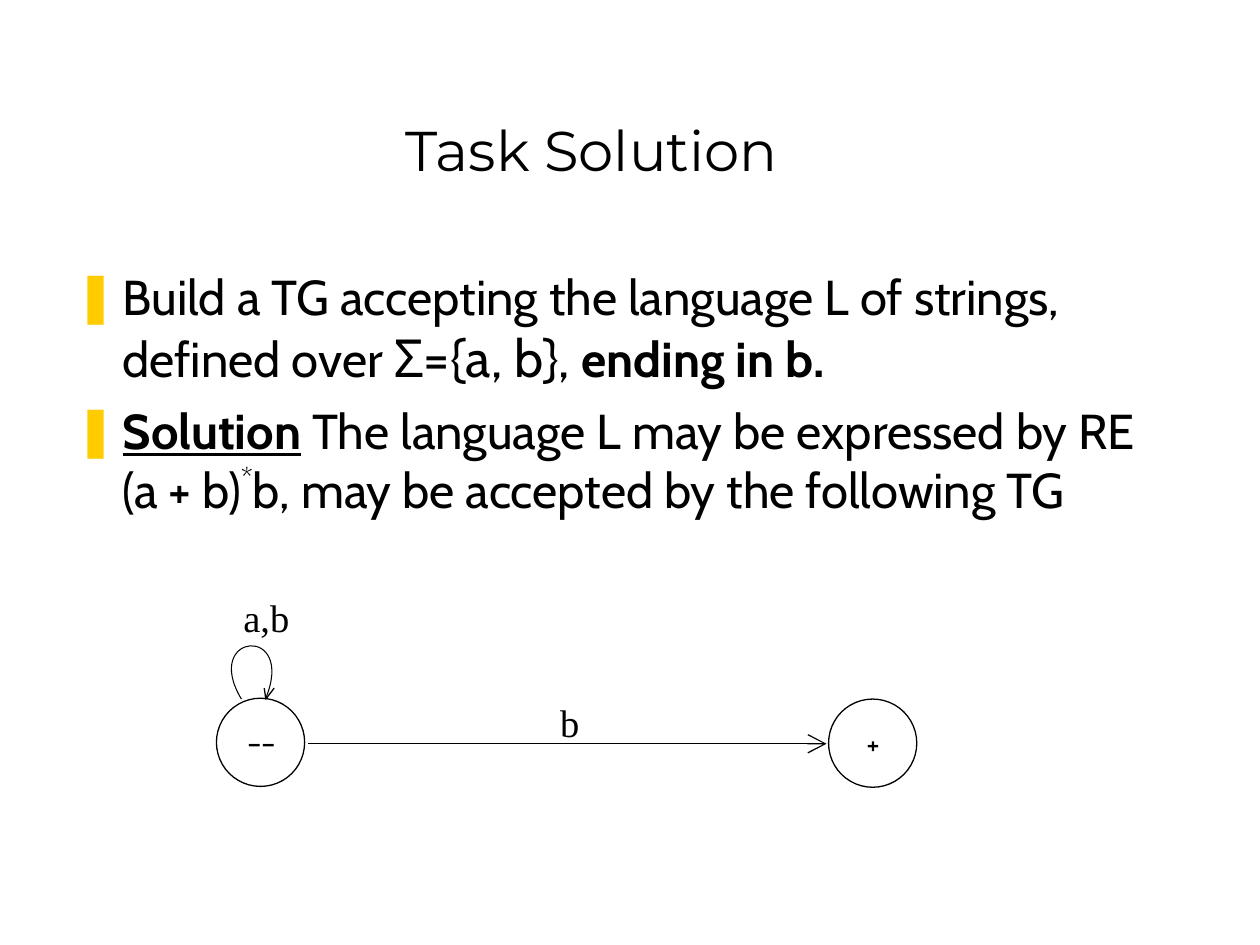
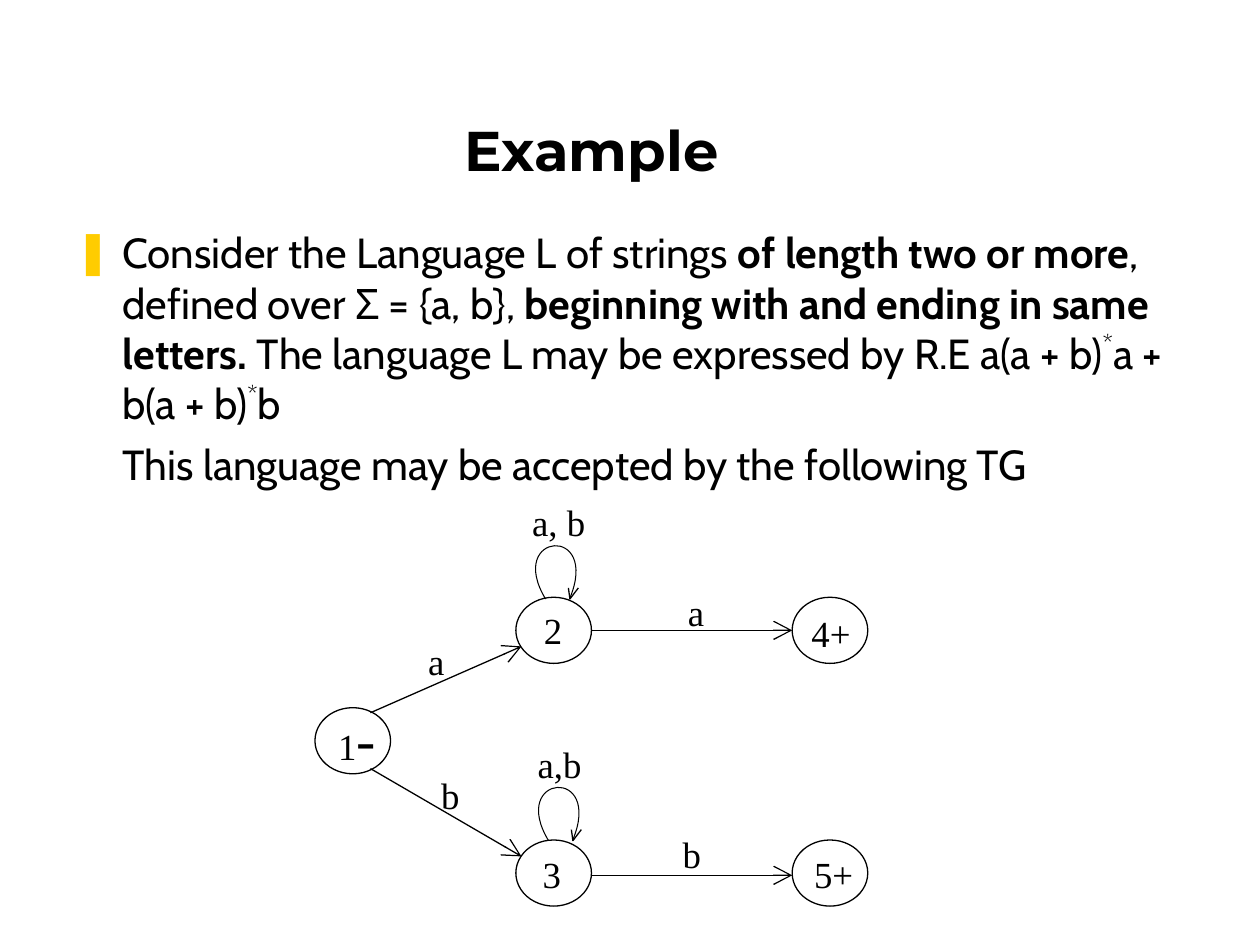
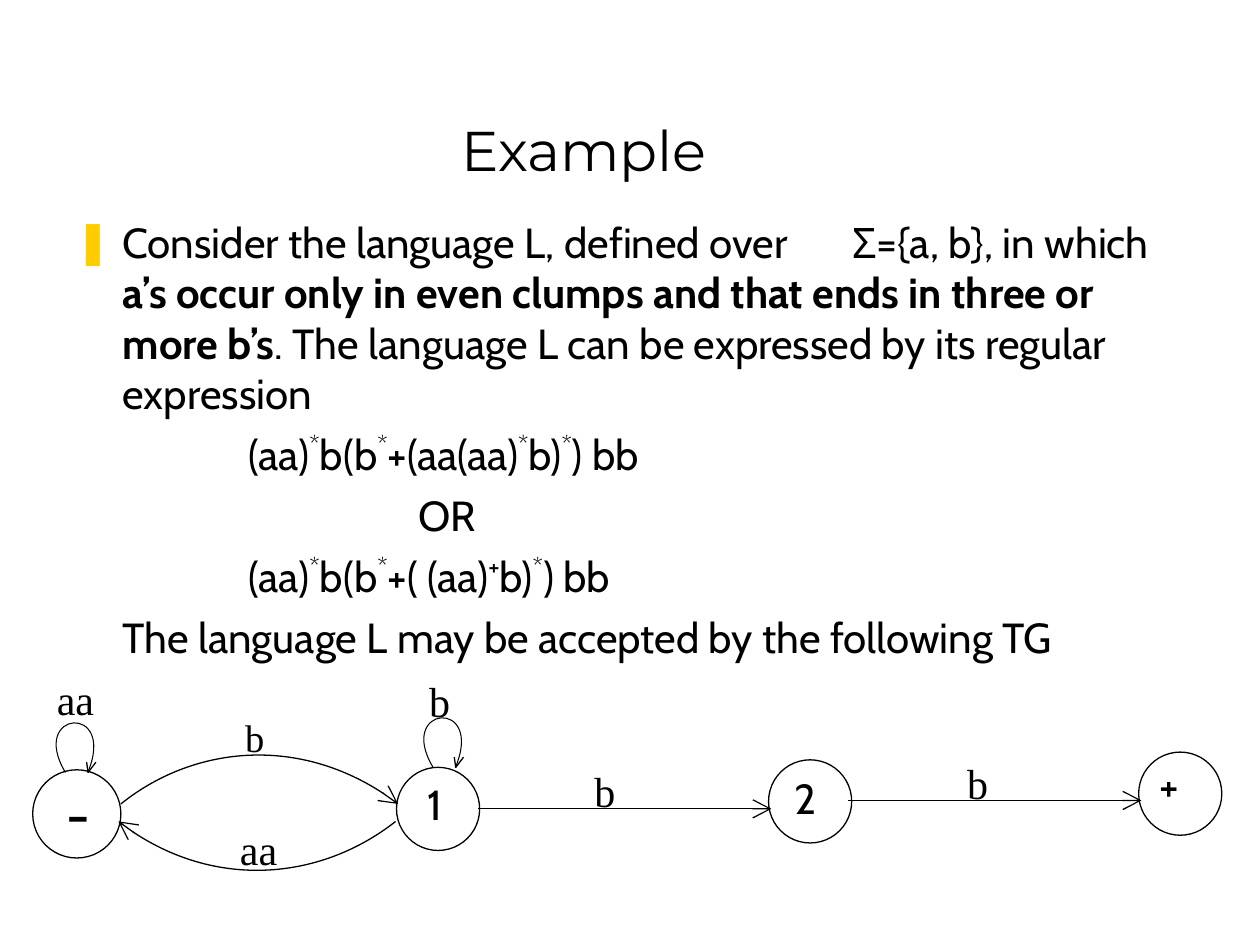
from pptx import Presentation as Deck
from pptx.dml.color import RGBColor as Rgb
from pptx.enum.shapes import MSO_CONNECTOR as Link, MSO_SHAPE as Form
from pptx.enum.text import MSO_ANCHOR as Anchor, PP_ALIGN as Align
from pptx.oxml import parse_xml
from pptx.oxml.ns import nsdecls, qn
from pptx.util import Pt

HUES = {"ink": "000000", "paper": "FFFFFF", "mark": "FFCC00"}
HEAD, BODY, SERIF = "Montserrat", "Cabin", "Times New Roman"
BOLD, UNDER, UP = {"bold": True}, {"bold": True, "under": True}, {"up": True}
STAR = ("*", UP)
INDENT = 27
SKIP = 13.2


def hue(name):
    return Rgb.from_string(HUES[name])


def node(tag, **attrs):
    item = parse_xml(f"<a:{tag} {nsdecls('a')}/>")
    for key, value in attrs.items():
        item.set(key, str(value))
    return item


def add_run(para, words, font, size, bold=False, under=False, up=False):
    run = para.add_run()
    run.text = words
    face = run.font
    face.name, face.size, face.bold, face.underline = font, Pt(size), bold, under
    face.color.rgb = hue("ink")
    if up:
        run._r.get_or_add_rPr().set("baseline", "40000")


def add_bullet(para):
    color = node("buClr")
    color.append(node("srgbClr", val=HUES["mark"]))
    para._p.get_or_add_pPr().extend(
        [color, node("buFont", typeface=BODY), node("buChar", char="❚")])


def add_tab(para, stop):
    tabs = node("tabLst")
    tabs.append(node("tab", pos=Pt(stop), algn="l"))
    para._p.get_or_add_pPr().append(tabs)


def text(slide, box, paras, font=SERIF, size=24, align=Align.LEFT, bold=False,
         gap=0, anchor=Anchor.TOP, pads=(7.2, 3.6, 7.2, 3.6)):
    frame = slide.shapes.add_textbox(*map(Pt, box)).text_frame
    frame.word_wrap, frame.vertical_anchor = True, anchor
    frame.margin_left, frame.margin_top, frame.margin_right, frame.margin_bottom = map(Pt, pads)
    for i, item in enumerate(paras):
        para = frame.add_paragraph() if i else frame.paragraphs[0]
        para.alignment, para.space_before = align, Pt(gap)
        left = item.get("left", 0)
        if left:
            props = para._p.get_or_add_pPr()
            props.set("marL", str(Pt(left)))
            props.set("indent", str(Pt(-INDENT if item.get("bullet") else 0)))
        if item.get("bullet"):
            add_bullet(para)
        if "stop" in item:
            add_tab(para, item["stop"])
        for words, look in item["runs"]:
            add_run(para, words, **{"font": font, "size": size, "bold": bold, **look})


def plain(*runs, left=0, **more):
    return {"left": left, "runs": [(r, {}) if isinstance(r, str) else r for r in runs], **more}


def point(*runs, **more):
    return plain(*runs, left=INDENT, bullet=True, **more)


def title(slide, words, bold=False):
    text(slide, (32, 18, 612, 90), [plain(words)], font=HEAD, size=32, bold=bold,
         align=Align.CENTER, anchor=Anchor.BOTTOM)


def body(slide, top, high, size, gap, *paras):
    text(slide, (36, top, 643.7, high), paras, font=BODY, size=size, gap=gap)


def ink_line(shape, width=0.75, arrow=False):
    shape.line.color.rgb = hue("ink")
    shape.line.width = Pt(width)
    if arrow:
        shape.line._get_or_add_ln().append(node("tailEnd", type="arrow", w="lg", len="lg"))


def trace(slide, dots, width=0.75, curve=False, arrow=False):
    first, *rest = [(Pt(x), Pt(y)) for x, y in dots]
    pen = slide.shapes.build_freeform(*first)
    pen.add_line_segments(rest, close=False)
    shape = pen.convert_to_shape()
    shape.shadow.inherit = False
    shape.fill.background()
    ink_line(shape, width, arrow)
    if curve:
        bend = node("cubicBezTo")
        steps = list(shape._element.iter(qn("a:lnTo")))
        steps[0].addprevious(bend)
        for step in steps:
            bend.append(step[0])
            step.getparent().remove(step)


def ring(slide, x, y, wide, high):
    shape = slide.shapes.add_shape(Form.OVAL, *map(Pt, (x, y, wide, high)))
    shape.shadow.inherit = False
    shape.fill.solid()
    shape.fill.fore_color.rgb = hue("paper")
    ink_line(shape)


def edge(slide, *ends):
    line = slide.shapes.add_connector(Link.STRAIGHT, *map(Pt, ends))
    line._element.spPr.append(node("effectLst"))
    ink_line(line, arrow=True)


def loop(slide, x, y, scale):
    def place(*dots):
        return [(x + dx * scale, y + dy * scale) for dx, dy in dots]
    trace(slide, place((0, 0), (-23, -38.2), (31.7, -43), (13.7, 0)), width=0.6, curve=True)
    trace(slide, place((13, -6.3), (13.9, 0), (18.7, -6.3)))


def label(slide, words, x, y, wide, high, left=0, drop=0, align=Align.LEFT, **look):
    right = 7.2 if align == Align.CENTER else 0
    runs = words if isinstance(words, list) else [words]
    text(slide, (x, y, wide, high), [plain(*runs)], align=align,
         pads=(7.2 + left, 3.6 + drop, right, 3.6), **look)


def graph(slide, box, rings, edges, loops, tags, arcs=(), scale=1, size=24):
    x, y, wide, high = box
    for dx, dy, *dims in rings:
        ring(slide, x + dx, y + dy, *dims)
    for ax, ay, bx, by in edges:
        edge(slide, x + ax, y + ay, x + bx, y + by)
    for arc in arcs:
        trace(slide, [(x + dx, y + dy) for dx, dy in arc], curve=True, arrow=True)
    for dx, dy in loops:
        loop(slide, x + dx, y + dy, scale)
    for words, dx, dy, *look in tags:
        look = {"wide": wide, "high": high, "size": size, **(look[0] if look else {})}
        label(slide, words, x + dx, y + dy, **look)


def task(slide):
    title(slide, "Task Solution")
    body(slide, 148.8, 328.3, 28, 7,
         point("Build a TG accepting the language L of strings, defined over ",
               ("Σ={a, b},", {"size": 30}), " ", ("ending in b.", BOLD)),
         point(("Solution", UNDER), " The language L may be expressed by RE (a + b)", STAR,
               "b, may be accepted by the following TG"))
    sign = dict(wide=70.6, high=49, font=BODY, size=16, drop=SKIP, align=Align.CENTER)
    graph(slide, (114, 336, 98.6, 36.7), size=22,
          rings=[(9.7, 63, 50.4, 50.4), (359.5, 63.5, 50.4, 50.4)],
          edges=[(62, 89, 358.3, 89)],
          loops=[(24, 63.5)],
          tags=[("b", 199, 60), ("a,b", 18, 0), ("––", 0, 61.8, sign), ("+", 349.6, 62.4, sign)])


def same(slide):
    title(slide, "Example", bold=True)
    body(slide, 126, 203.8, 24, 6,
         point("Consider the Language L of strings ", ("of length two or more", BOLD),
               ", defined over Σ = {a, b}, ",
               ("beginning with and ending in same letters. ", BOLD),
               "The language L may be expressed by R.E a(a + b)", STAR, "a + b(a + b)", STAR, "b"),
         plain("This language may be accepted by the following TG", left=INDENT))
    oval = (43.2, 37.8)
    near, mid, far = 7, 121.8, 279.7
    graph(slide, (173, 282, 50.4, 38.2), size=21,
          rings=[(near, 122.4, *oval)] + [(x, y, *oval) for x in (mid, far) for y in (59.3, 198)],
          edges=[(38.7, 125.3, 125, 87.4), (38.7, 157.2, 125, 207.4),
                 (164.7, 78.2, far, 78.2), (164.7, 218.2, far, 218.2)],
          loops=[(138.8, 60.3), (140.5, 198.4)],
          tags=[("a", 64.6, 79.4), ("b", 72, 156), ("a", 213, 51.4), ("b", 210, 189.6),
                ("a, b", 124, 0), ("a,b", 127.2, 138.2),
                (["1", ("-", {"size": 33})], -0.4, 103, {"left": 13.5, "drop": SKIP}),
                ("2", 130.8, 61.9), ("3", 130, 201),
                ("4+", 278, 50.2, {"left": 5.5, "drop": SKIP}),
                ("5+", 282.3, 201, {"left": 2.75})])


def clumps(slide):
    title(slide, "Example ")
    start = ("(aa)", STAR, "b(b", STAR)
    deep = INDENT + 72
    body(slide, 120.2, 328.3, 24, 6,
         point("Consider the language L, defined over\tΣ={a, b}, in which ",
               ("a’s occur only in even clumps and that ends in three or more b’s", BOLD),
               ". The language L can be expressed by its regular expression", stop=417 + INDENT),
         plain(*start, "+(aa(aa)", STAR, "b)", STAR, ") bb", left=deep),
         plain("OR", left=196),
         plain(*start, "+( (aa)", ("+", UP), "b)", STAR, ") bb", left=deep),
         plain("The language L may be accepted by the following TG", left=INDENT))
    sign = dict(wide=29.5, high=28.8, font=BODY)
    small = (47.5, 47.5)
    graph(slide, (15, 380, 78.5, 37.4), scale=0.93,
          rings=[(3.7, 59.9, 50.4, 50.4), (211.6, 58.5, *small),
                 (424.2, 54.2, *small), (635.7, 49.8, *small)],
          edges=[(257.9, 82.2, 425.8, 82.2), (469.6, 77.4, 637.3, 77.4)],
          arcs=[[(211.1, 89.4), (170, 121.8), (104.5, 129.8), (52.7, 89.4)],
                [(54.1, 79.4), (94.4, 47), (160, 39), (212.5, 79.4)]],
          loops=[(22.4, 61.4), (232.5, 58.5)],
          tags=[("aa", 115, 87), ("b", 118, 24.3, {"size": 22}), ("b", 223.1, 2.3),
                ("aa", 10.4, 1.3), ("b", 317.6, 53.8), ("b", 530.6, 49.1),
                ("-", 16, 62, {**sign, "size": 32}), ("1", 222.2, 61.4, sign),
                ("2", 432.1, 57.8, sign), ("+", 640.2, 50.6, {**sign, "wide": 41.8})])


def main():
    deck = Deck()
    deck.slide_width, deck.slide_height = Pt(720), Pt(540)
    for build in (task, same, clumps):
        build(deck.slides.add_slide(deck.slide_layouts[6]))
    deck.save("out.pptx")


if __name__ == "__main__":
    main()
